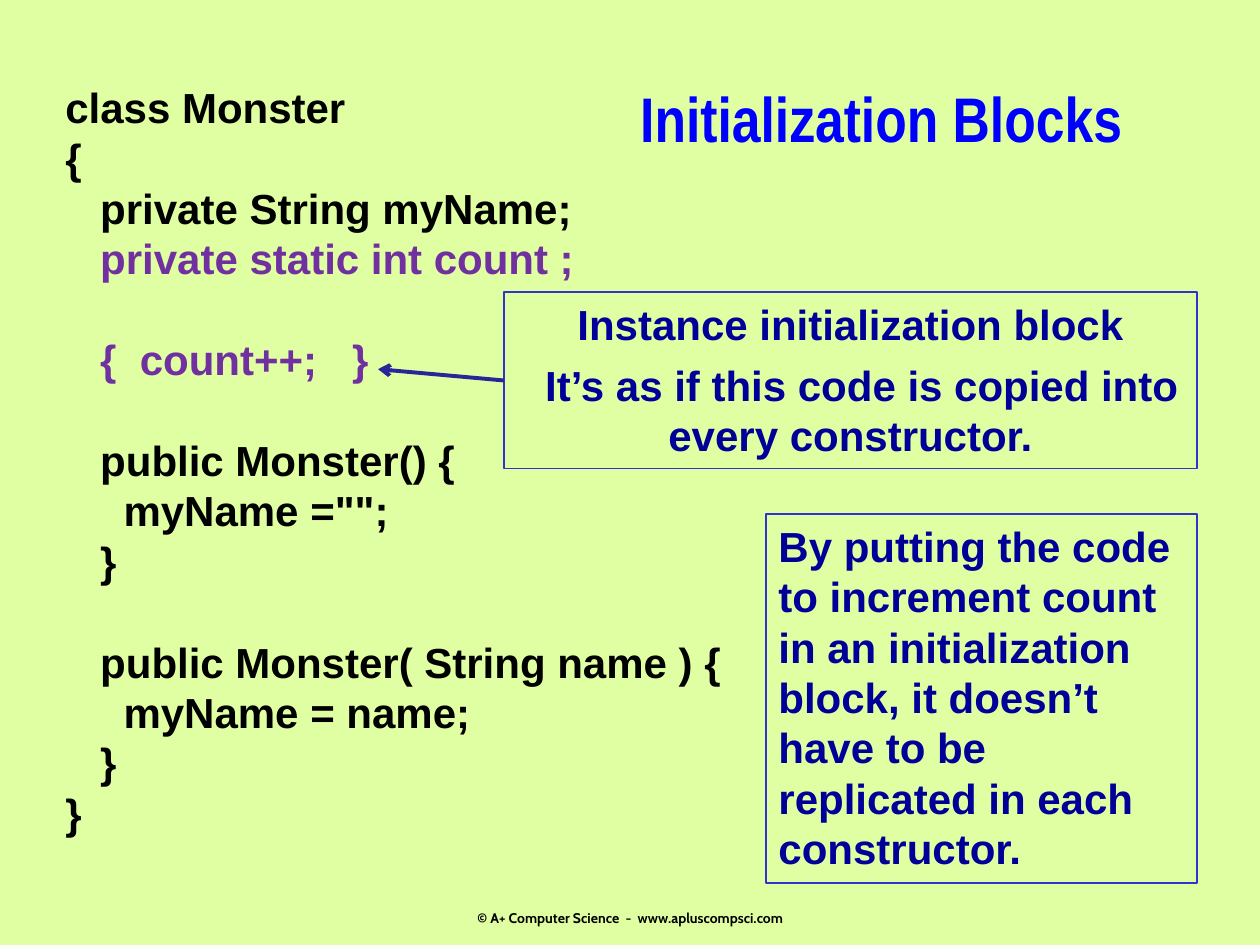
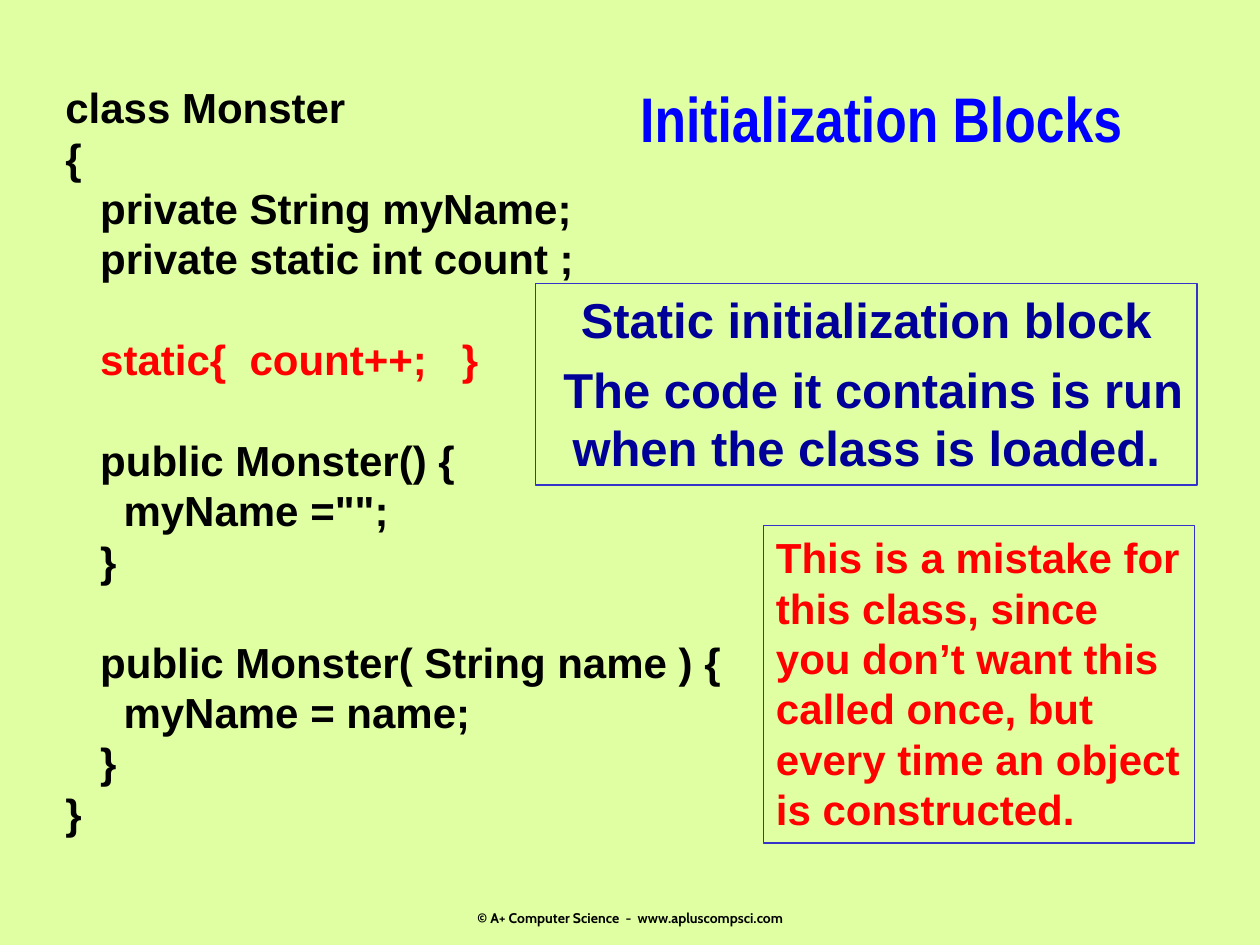
from lxml import etree
from pptx import Presentation
from pptx import util as u
from pptx.dml.color import RGBColor
from pptx.enum import shapes, text
from pptx.oxml.ns import qn

# Shared look
PAPER, BLACK, BLUE, NAVY = "E0FFA3", "000000", "0000FF", "000099"
PURPLE, RED, BORDER, ARROW = "7030A0", "FF0000", "3333CC", "262699"
CODE_LINE = 28.8  # height of one line of code, in points
LEFT, CENTER = text.PP_ALIGN.LEFT, text.PP_ALIGN.CENTER

FIELD = "   private static int count ;"
CODE_START = ["class Monster", "{", "   private String myName;"]
CODE_END = ["", "   public Monster() {", '     myName ="";', "   }", "",
            "   public Monster( String name ) {", "     myName = name;", "   }", "}"]


def rgb(value):
    return RGBColor.from_string(value)


def add_run(p, words, size, color, font="Arial"):
    r = p.add_run()
    r.text = words
    r.font.name = font
    r.font.size = u.Pt(size)
    r.font.bold = True
    r.font.color.rgb = rgb(color)


def next_paragraph(tf, first):
    return tf.paragraphs[0] if first else tf.add_paragraph()


def set_frame(tf, wrap, grow=False):
    tf.word_wrap = wrap
    tf.auto_size = (text.MSO_AUTO_SIZE.SHAPE_TO_FIT_TEXT if grow
                    else text.MSO_AUTO_SIZE.NONE)
    tf.vertical_anchor = text.MSO_ANCHOR.TOP
    tf.margin_left = tf.margin_right = u.Inches(0.1)
    tf.margin_top = tf.margin_bottom = u.Inches(0.05)


def add_slide(prs):
    """Slide with the common title and footer."""
    slide = prs.slides.add_slide(prs.slide_layouts[5])
    title = slide.shapes.title
    title.left, title.top = u.Inches(4.83), u.Inches(0.58)
    title.width, title.height = u.Inches(4.33), u.Inches(0.92)
    set_frame(title.text_frame, wrap=False)
    p = title.text_frame.paragraphs[0]
    p.alignment = CENTER
    add_run(p, "Initialization Blocks", 36, BLUE, "Arial Narrow")

    footer = slide.shapes.add_textbox(
        u.Inches(3.42), u.Inches(7.16), u.Inches(3.17), u.Inches(0.25))
    set_frame(footer.text_frame, wrap=False)
    footer.text_frame.vertical_anchor = text.MSO_ANCHOR.MIDDLE
    p = footer.text_frame.paragraphs[0]
    p.alignment = CENTER
    add_run(p, "© A+ Computer Science  -  www.apluscompsci.com", 8, BLACK, "Cabin")
    return slide


def add_code(slide, lines, accents):
    """Code listing; an empty line becomes space before the next one."""
    sp = slide.shapes.add_textbox(
        u.Inches(0.42), u.Inches(0.6), u.Inches(5.45), u.Inches(6.16))
    tf = sp.text_frame
    set_frame(tf, wrap=False, grow=True)
    gap = 0
    for i, line in enumerate(lines):
        if not line:
            gap += CODE_LINE
            continue
        p = next_paragraph(tf, i == 0)
        if gap:
            p.space_before = u.Pt(gap)
            gap = 0
        add_run(p, line, 24, accents.get(line, BLACK))


def add_callout(slide, box, paragraphs, size=24, color=NAVY, align=LEFT, indent=0):
    """Outlined note; indent shifts the first line of later paragraphs."""
    sp = slide.shapes.add_shape(
        shapes.MSO_SHAPE.RECTANGLE, *(u.Inches(v) for v in box))
    sp.shadow.inherit = False
    sp.fill.background()
    sp.line.color.rgb = rgb(BORDER)
    sp.line.width = u.Pt(1)
    tf = sp.text_frame
    set_frame(tf, wrap=True, grow=True)
    for i, words in enumerate(paragraphs):
        p = next_paragraph(tf, i == 0)
        p.alignment = align
        if i < len(paragraphs) - 1:
            p.space_after = u.Pt(6)
        if i and indent:
            p._p.get_or_add_pPr().set("indent", str(u.Inches(indent)))
        add_run(p, words, size, color)
    return sp


def add_arrow(slide, source, end_x, end_y):
    """Arrow from the left side of a callout to a point."""
    line = slide.shapes.add_connector(
        shapes.MSO_CONNECTOR.STRAIGHT, source.left, source.top,
        u.Inches(end_x), u.Inches(end_y))
    line.begin_connect(source, 1)
    line.line.color.rgb = rgb(ARROW)
    line.line.width = u.Pt(2.25)
    etree.SubElement(line.line._get_or_add_ln(), qn("a:tailEnd"), type="arrow")
    etree.SubElement(line._element.spPr, qn("a:effectLst"))


def instance_block_slide(prs):
    slide = add_slide(prs)
    block = "   {  count++;   }"
    add_code(slide, CODE_START + [FIELD, "", block] + CODE_END,
             {FIELD: PURPLE, block: PURPLE})
    add_callout(slide, (6.08, 4.08, 3.42, 2.93),
                ["By putting the code to increment count in an initialization "
                 "block, it doesn’t have to be replicated in each constructor."])
    note = add_callout(slide, (4, 2.32, 5.5, 1.4),
                       ["Instance initialization block",
                        "It’s as if this code is copied into every constructor."],
                       align=CENTER, indent=0.18)
    add_arrow(slide, note, 3, 2.93)


def static_block_slide(prs):
    slide = add_slide(prs)
    block = "   static{  count++;   }"
    add_code(slide, CODE_START + [FIELD, "", block] + CODE_END, {block: RED})
    add_callout(slide, (6.06, 4.17, 3.42, 2.52),
                ["This is a mistake for this class, since you don’t want this "
                 "called once, but every time an object is constructed."],
                color=RED)
    add_callout(slide, (4.25, 2.25, 5.25, 1.6),
                ["Static initialization block",
                 "The code it contains is run when the class is loaded."],
                size=28, align=CENTER, indent=0.11)


def main():
    prs = Presentation()
    prs.slide_width, prs.slide_height = u.Inches(10), u.Inches(7.5)
    background = prs.slide_master.background.fill
    background.solid()
    background.fore_color.rgb = rgb(PAPER)
    instance_block_slide(prs)
    static_block_slide(prs)
    prs.save("out.pptx")


if __name__ == "__main__":
    main()
